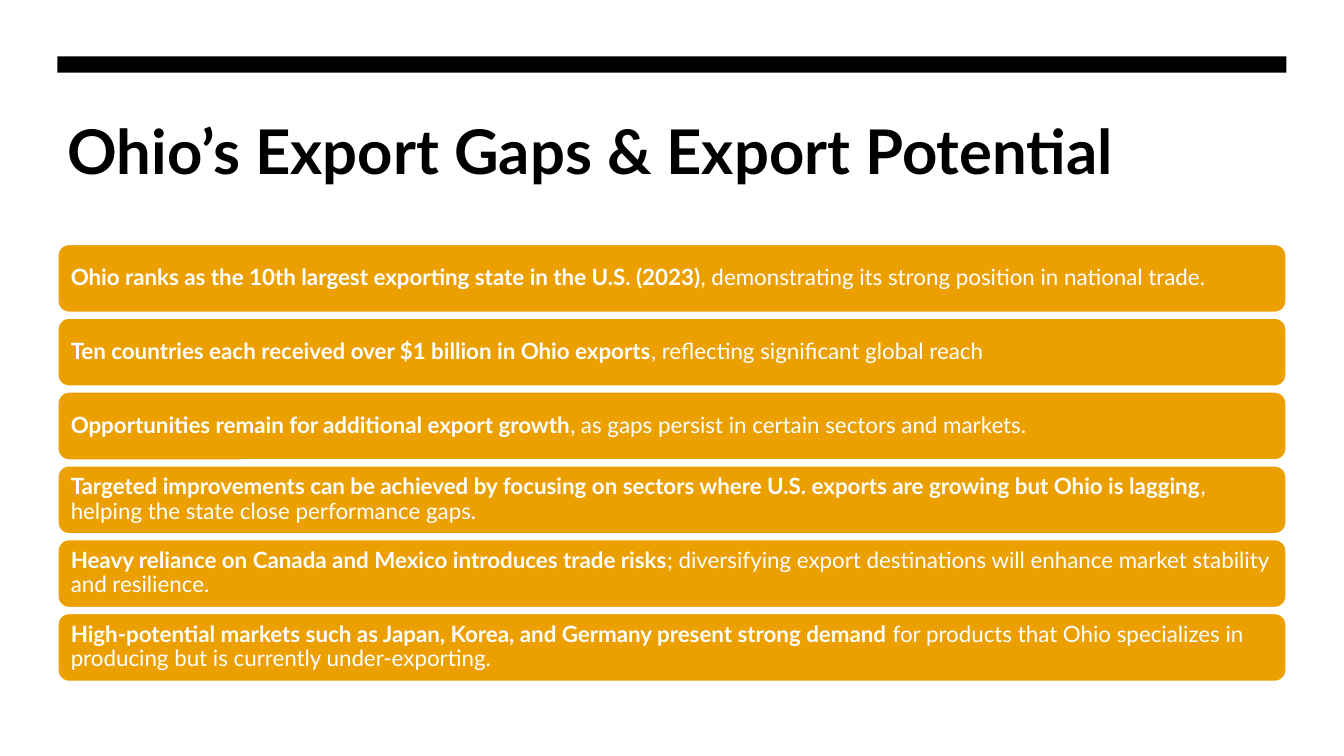
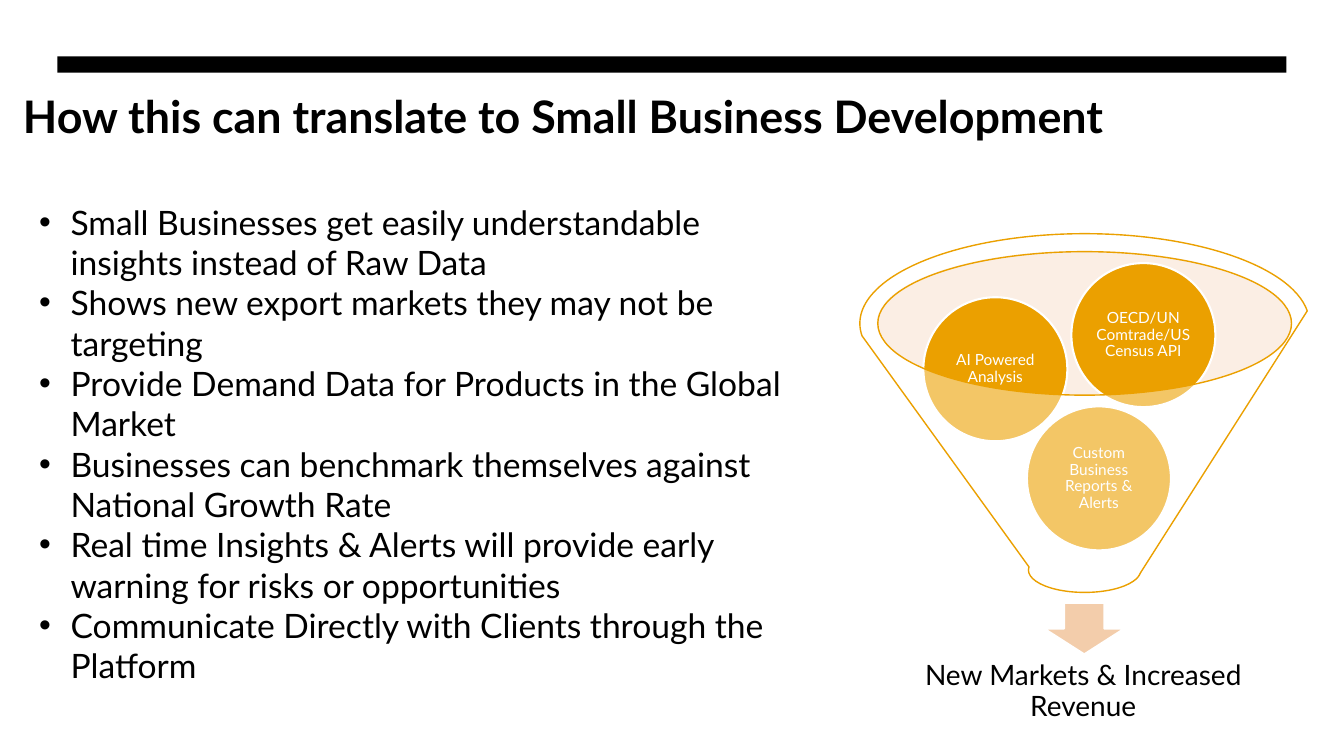
"""Build two slides on Ohio's export potential and small business development."""
from lxml.etree import SubElement
from pptx import Presentation
from pptx.dml.color import RGBColor
from pptx.enum.shapes import MSO_SHAPE as Preset
from pptx.enum.text import MSO_ANCHOR as Anchor, PP_ALIGN as Align
from pptx.oxml.ns import qn
from pptx.util import Cm, Pt

FONT = "Lato"
BLACK, WHITE, AMBER = "000000", "FFFFFF", "EBA000"
PEACH, PALE_PEACH = "F3CDAB", "F5D6BD"
MARGIN, CONTENT_WIDTH = 1.45, 30.97
TITLE_HEIGHT = 4.06
CARD_TOP, CARD_HEIGHT, CARD_PITCH = 6.15, 1.73, 1.86
CIRCLE_SIZE = 3.63

FINDINGS = [
    ("Ohio ranks as the 10th largest exporting state in the U.S. (2023)",
     ", demonstrating its strong position in national trade."),
    ("Ten countries each received over $1 billion in Ohio exports",
     ", reflecting significant global reach"),
    ("Opportunities remain for additional export growth",
     ", as gaps persist in certain sectors and markets."),
    ("Targeted improvements can be achieved by focusing on sectors where "
     "U.S. exports are growing but Ohio is lagging",
     ", helping the state close performance gaps."),
    ("Heavy reliance on Canada and Mexico introduces trade risks",
     "; diversifying export destinations will enhance market stability and resilience."),
    ("High-potential markets such as Japan, Korea, and Germany present strong demand",
     " for products that Ohio specializes in producing but is currently under-exporting."),
]
BENEFITS = [
    "Small Businesses get easily understandable insights instead of Raw Data",
    "Shows new export markets they may not be targeting",
    "Provide Demand Data for Products in the Global Market",
    "Businesses can benchmark themselves against National Growth Rate",
    "Real time Insights & Alerts will provide early warning for risks or opportunities",
    "Communicate Directly with Clients through the Platform",
]
INPUTS = [
    (25.88, 10.24, "Custom Business Reports & Alerts"),
    (23.27, 7.49, "AI Powered Analysis"),
    (27, 6.63, "OECD/UN Comtrade/US Census API"),
]


def color(value):
    """Return the colour for a hex string."""
    return RGBColor.from_string(value)


def format_font(font, size, value, bold=False):
    """Apply the deck's typeface with a size, colour and weight."""
    font.name, font.size, font.bold = FONT, Pt(size), bold
    font.color.rgb = color(value)


def set_frame(text_frame, inset, anchor=Anchor.MIDDLE):
    """Wrap the text, anchor it and give it equal insets in centimetres."""
    text_frame.word_wrap = True
    text_frame.vertical_anchor = anchor
    text_frame.margin_left = text_frame.margin_right = Cm(inset)
    text_frame.margin_top = text_frame.margin_bottom = Cm(inset)


def add_preset(slide, preset, box, fill, line=None, line_width=1.5, opacity=None):
    """Add a filled preset shape with an optional outline and opacity percentage."""
    shape = slide.shapes.add_shape(preset, *map(Cm, box))
    shape.shadow.inherit = False
    shape.fill.solid()
    shape.fill.fore_color.rgb = color(fill)
    if opacity is not None:
        fill_color = shape.fill._xPr.find(qn("a:solidFill"))[0]
        SubElement(fill_color, qn("a:alpha"), val=str(opacity * 1000))
    if line:
        shape.line.color.rgb = color(line)
        shape.line.width = Pt(line_width)
    else:
        shape.line.fill.background()
    return shape


def add_text_box(slide, box, inset=0.25, anchor=Anchor.TOP):
    """Add an empty wrapping text box and return its text frame."""
    text_frame = slide.shapes.add_textbox(*map(Cm, box)).text_frame
    set_frame(text_frame, inset, anchor)
    text_frame.margin_top = text_frame.margin_bottom = Cm(min(inset, 0.13))
    return text_frame


def add_titled_slide(presentation, title, left, top, size):
    """Add a blank slide with the black band and a bold title."""
    slide = presentation.slides.add_slide(presentation.slide_layouts[6])
    add_preset(slide, Preset.RECTANGLE, (MARGIN, 1.42, CONTENT_WIDTH, 0.41), BLACK)
    text_frame = add_text_box(slide, (left, top, CONTENT_WIDTH, TITLE_HEIGHT))
    text_frame.text = title
    format_font(text_frame.paragraphs[0].font, size, BLACK, bold=True)
    return slide


def add_card(slide, top, lead, detail):
    """Add a rounded card with a bold lead and a regular continuation."""
    box = (MARGIN, top, CONTENT_WIDTH, CARD_HEIGHT)
    card = add_preset(slide, Preset.ROUNDED_RECTANGLE, box, AMBER, WHITE)
    set_frame(card.text_frame, 0.25)
    paragraph = card.text_frame.paragraphs[0]
    paragraph.text = lead
    paragraph.add_run().text = detail
    paragraph.alignment, paragraph.line_spacing = Align.LEFT, 0.9
    for run, bold in zip(paragraph.runs, (True, False)):
        format_font(run.font, 16, WHITE, bold)


def set_centered_text(text_frame, text, size, value):
    """Write one tightly spaced, centred paragraph."""
    text_frame.text = text
    paragraph = text_frame.paragraphs[0]
    paragraph.alignment, paragraph.line_spacing = Align.CENTER, 0.9
    format_font(paragraph.font, size, value)


def add_bullets(slide, box, items):
    """Add a bulleted list with hanging indents."""
    text_frame = add_text_box(slide, box)
    text_frame.text = "\n".join(items)
    for paragraph in text_frame.paragraphs:
        properties = paragraph._p.get_or_add_pPr()
        properties.set("marL", str(Cm(0.79)))
        properties.set("indent", str(-Cm(0.79)))
        SubElement(properties, qn("a:buFont"), typeface="Arial")
        SubElement(properties, qn("a:buChar"), char="•")
        format_font(paragraph.font, 24, BLACK)


def add_funnel(slide):
    """Draw the funnel, its three inputs and the outcome below it."""
    add_preset(slide, Preset.OVAL, (22.1, 6.32, 10.44, 3.63), PALE_PEACH, opacity=40)
    add_preset(slide, Preset.DOWN_ARROW, (26.31, 15.19, 2.03, 1.3), PEACH, WHITE)
    outcome = add_text_box(slide, (22.45, 16.23, 9.7, 2.41), 0.41, Anchor.MIDDLE)
    set_centered_text(outcome, "New Markets & Increased Revenue", 20, BLACK)
    for left, top, label in INPUTS:
        box = (left, top, CIRCLE_SIZE, CIRCLE_SIZE)
        circle = add_preset(slide, Preset.OVAL, box, AMBER, WHITE)
        set_frame(circle.text_frame, 0.05)
        set_centered_text(circle.text_frame, label, 11, WHITE)
    add_preset(slide, Preset.FUNNEL, (21.67, 5.89, 11.33, 9.04), WHITE, AMBER,
               line_width=1, opacity=40)


def main():
    """Build and save the presentation."""
    presentation = Presentation()
    presentation.slide_width, presentation.slide_height = Cm(33.87), Cm(19.05)

    slide = add_titled_slide(
        presentation, "Ohio’s Export Gaps & Export Potential", MARGIN, 2.72, 44)
    for index, (lead, detail) in enumerate(FINDINGS):
        add_card(slide, CARD_TOP + index * CARD_PITCH, lead, detail)

    slide = add_titled_slide(
        presentation, "How this can translate to Small Business Development", 0.33, 2.11, 32)
    add_funnel(slide)
    add_bullets(slide, (0.74, 4.95, 19.53, 14.1), BENEFITS)

    presentation.save("out.pptx")


if __name__ == "__main__":
    main()
